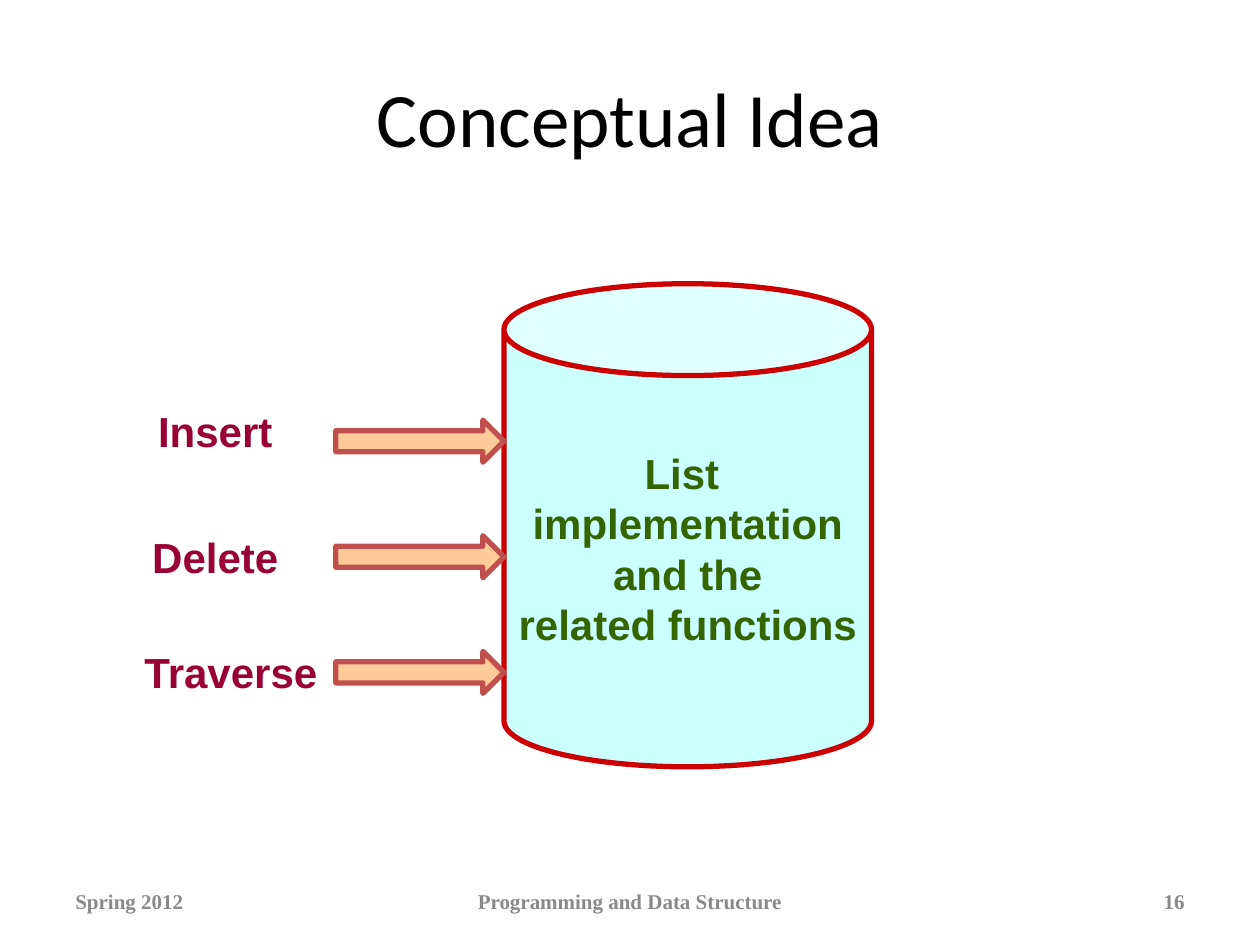
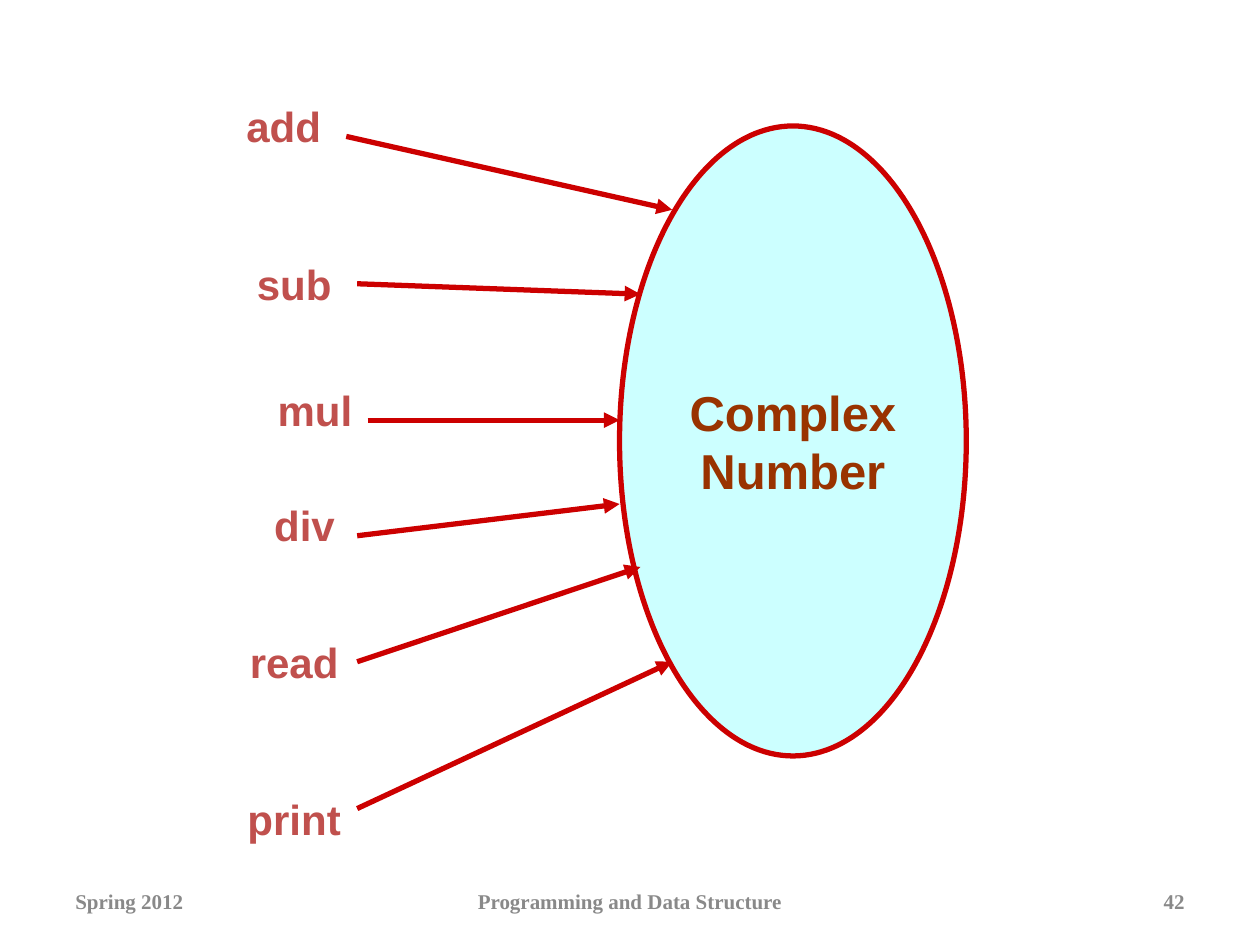
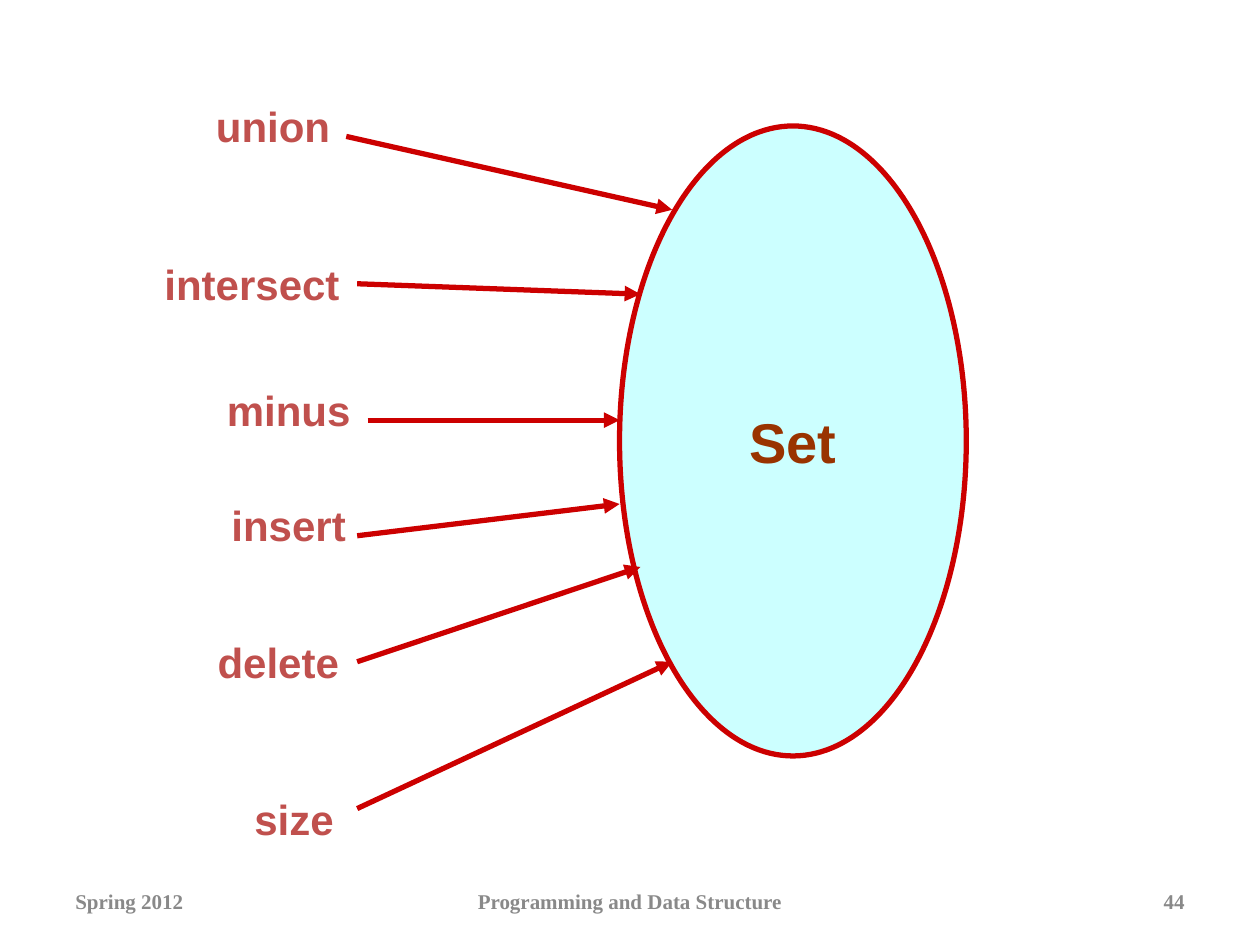
from dataclasses import dataclass

from lxml import etree
from pptx import Presentation
from pptx.dml.color import RGBColor
from pptx.enum.shapes import MSO_CONNECTOR, MSO_SHAPE
from pptx.enum.text import MSO_ANCHOR, MSO_AUTO_SIZE, PP_ALIGN
from pptx.oxml.ns import qn
from pptx.util import Cm, Pt

LEFT, CENTER, RIGHT = PP_ALIGN.LEFT, PP_ALIGN.CENTER, PP_ALIGN.RIGHT
TOP, MIDDLE = MSO_ANCHOR.TOP, MSO_ANCHOR.MIDDLE
CAN, ELLIPSE, ARROW = MSO_SHAPE.CAN, MSO_SHAPE.OVAL, MSO_SHAPE.RIGHT_ARROW
STRAIGHT = MSO_CONNECTOR.STRAIGHT
FIT_TEXT = MSO_AUTO_SIZE.SHAPE_TO_FIT_TEXT

COLORS = {
    "title": "000000",
    "footer": "898989",
    "body": "CCFFFF",
    "outline": "CC0000",
    "arrow": "FFCC99",
    "accent": "C0504D",
    "list": "336600",
    "operation": "990033",
    "type": "993300",
}
LINE_WIDTH = Pt(3)


@dataclass(frozen=True)
class Box:
    """A rectangle in centimetres."""
    left: float
    top: float
    width: float
    height: float

    def emu(self) -> tuple:
        return Cm(self.left), Cm(self.top), Cm(self.width), Cm(self.height)


@dataclass(frozen=True)
class Style:
    size: int
    color: str
    font: str = "Arial"
    bold: bool = True
    align: int = CENTER
    anchor: int = MIDDLE


@dataclass(frozen=True)
class Label:
    text: str
    left: float
    width: float = 2.54


@dataclass(frozen=True)
class Spoke:
    """An arrow to the ellipse, and the top of the label beside it."""
    label_top: float
    x1: float
    y1: float
    x2: float
    y2: float


@dataclass(frozen=True)
class TypeDiagram:
    number: str
    name: list[str]
    name_size: int
    labels: list[Label]


TITLE = Style(44, "title", font="Calibri", bold=False)
OPERATION = Style(24, "operation", anchor=TOP)
FUNCTION = Style(24, "accent", anchor=TOP)
LABEL_HEIGHT = 1.27

SPOKES = [
    Spoke(1.9, 6.98, 2.75, 13.55, 4.23),
    Spoke(5.08, 7.2, 5.72, 12.91, 5.93),
    Spoke(7.62, 7.41, 8.47, 12.49, 8.47),
    Spoke(9.95, 7.2, 10.8, 12.49, 10.16),
    Spoke(12.7, 7.2, 13.34, 12.91, 11.43),
    Spoke(15.88, 7.2, 16.3, 13.55, 13.34),
]

TYPE_DIAGRAMS = [
    TypeDiagram("42", ["Complex", "Number"], 28, [
        Label("add", 4.45), Label("sub", 4.66), Label("mul", 5.08),
        Label("div", 4.87), Label("read", 4.66), Label("print", 4.66),
    ]),
    TypeDiagram("44", ["Set"], 32, [
        Label("union", 3.81, 3.39), Label("intersect", 2.75, 4.66),
        Label("minus", 4.02, 3.6), Label("insert", 4.23, 3.18),
        Label("delete", 4.02, 3.18), Label("size", 4.66),
    ]),
]


def rgb(name: str) -> RGBColor:
    return RGBColor.from_string(COLORS[name])


def write(tf, lines: list[str], style: Style) -> None:
    tf.vertical_anchor = style.anchor
    for i, line in enumerate(lines):
        p = tf.paragraphs[0] if i == 0 else tf.add_paragraph()
        p.alignment = style.align
        r = p.add_run()
        r.text = line
        r.font.name = style.font
        r.font.size = Pt(style.size)
        r.font.bold = style.bold
        r.font.color.rgb = rgb(style.color)


def add_text(s, box: Box, text: str, style: Style):
    tf = s.shapes.add_textbox(*box.emu()).text_frame
    tf.word_wrap = True
    write(tf, [text], style)
    return tf


def add_label(s, label: Label, top: float, style: Style) -> None:
    box = Box(label.left, top, label.width, LABEL_HEIGHT)
    add_text(s, box, label.text, style).auto_size = FIT_TEXT


def add_figure(s, kind: int, box: Box, fill: str, line: str):
    sp = s.shapes.add_shape(kind, *box.emu())
    sp.shadow.inherit = False
    sp.fill.solid()
    sp.fill.fore_color.rgb = rgb(fill)
    sp.line.color.rgb = rgb(line)
    sp.line.width = LINE_WIDTH
    return sp


def add_body(s, kind: int, box: Box, lines: list[str], style: Style):
    sp = add_figure(s, kind, box, "body", "outline")
    sp.text_frame.word_wrap = False
    write(sp.text_frame, lines, style)
    return sp


def add_spoke(s, spoke: Spoke) -> None:
    ends = (Cm(v) for v in (spoke.x1, spoke.y1, spoke.x2, spoke.y2))
    cxn = s.shapes.add_connector(STRAIGHT, *ends)
    cxn.line.color.rgb = rgb("outline")
    cxn.line.width = LINE_WIDTH
    ln = cxn.line._get_or_add_ln()
    etree.SubElement(ln, qn("a:tailEnd"), type="triangle")
    etree.SubElement(ln.getparent(), qn("a:effectLst"))


def add_slide(prs, number: str):
    """A blank slide with the shared footer."""
    s = prs.slides.add_slide(prs.slide_layouts[6])
    footers = [
        ("Spring 2012", 1.27, 5.93, LEFT),
        ("Programming and Data Structure", 8.68, 8.04, CENTER),
        (number, 18.2, 5.93, RIGHT),
    ]
    for text, left, width, align in footers:
        style = Style(12, "footer", font="Times New Roman", align=align)
        add_text(s, Box(left, 17.65, width, 1.02), text, style)
    return s


def add_list_slide(prs) -> None:
    s = add_slide(prs, "16")
    add_text(s, Box(1.27, 0.76, 22.86, 3.18), "Conceptual Idea", TITLE)

    # List container
    lines = ["List ", "implementation", "and the", "related functions"]
    add_body(s, CAN, Box(10.16, 5.72, 7.41, 9.74), lines, Style(24, "list"))

    # Operations and their arrows
    operations = [
        (Label("Insert", 2.54, 3.6), 8.04),
        (Label("Delete", 2.54, 3.6), 10.58),
        (Label("Traverse", 2.54, 4.23), 12.91),
    ]
    for i, (label, top) in enumerate(operations):
        box = Box(6.77, 8.47 + i * 2.33, 3.39, 0.85)
        add_figure(s, ARROW, box, "arrow", "accent")
        add_label(s, label, top, OPERATION)


def add_type_slide(prs, diagram: TypeDiagram) -> None:
    s = add_slide(prs, diagram.number)
    add_body(s, ELLIPSE, Box(12.49, 2.54, 6.99, 12.7), diagram.name,
             Style(diagram.name_size, "type"))
    for spoke, label in zip(SPOKES, diagram.labels):
        add_spoke(s, spoke)
        add_label(s, label, spoke.label_top, FUNCTION)


def main() -> None:
    prs = Presentation()
    prs.slide_width, prs.slide_height = Cm(25.4), Cm(19.05)
    add_list_slide(prs)
    for diagram in TYPE_DIAGRAMS:
        add_type_slide(prs, diagram)
    prs.save("out.pptx")


if __name__ == "__main__":
    main()
